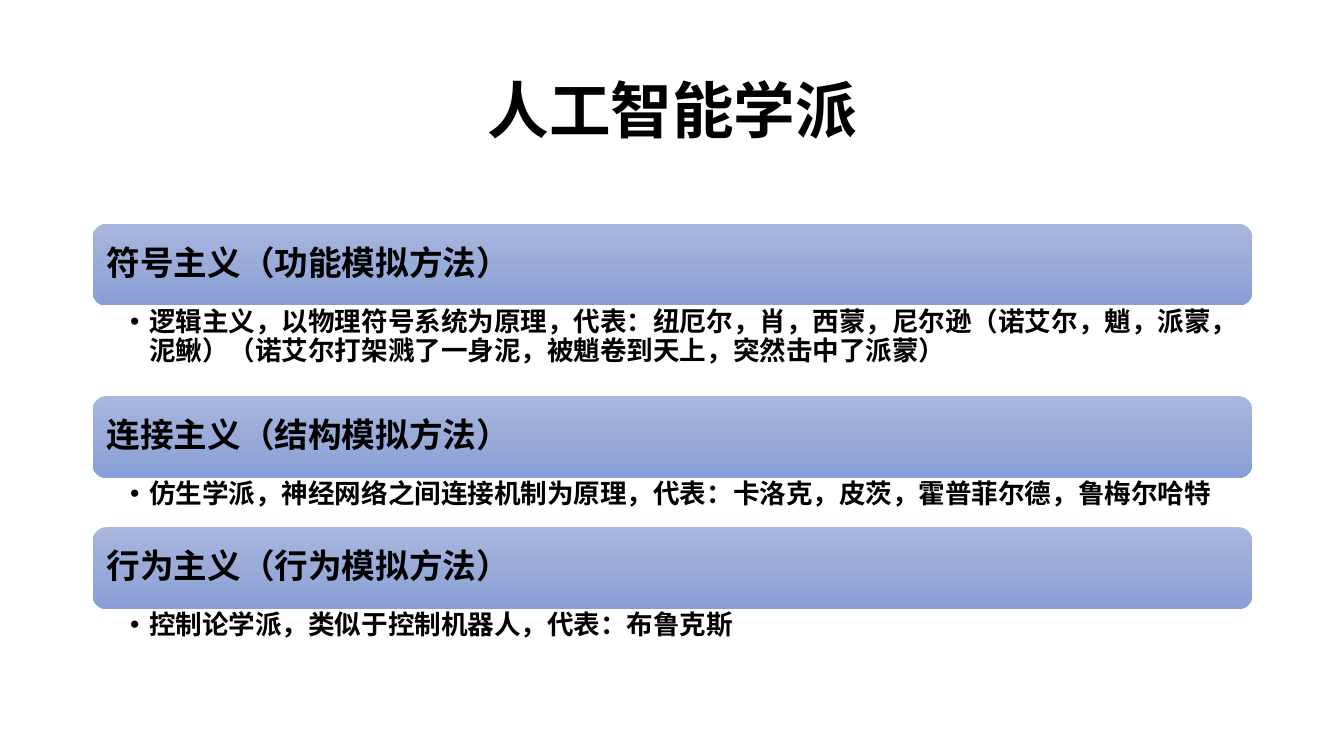
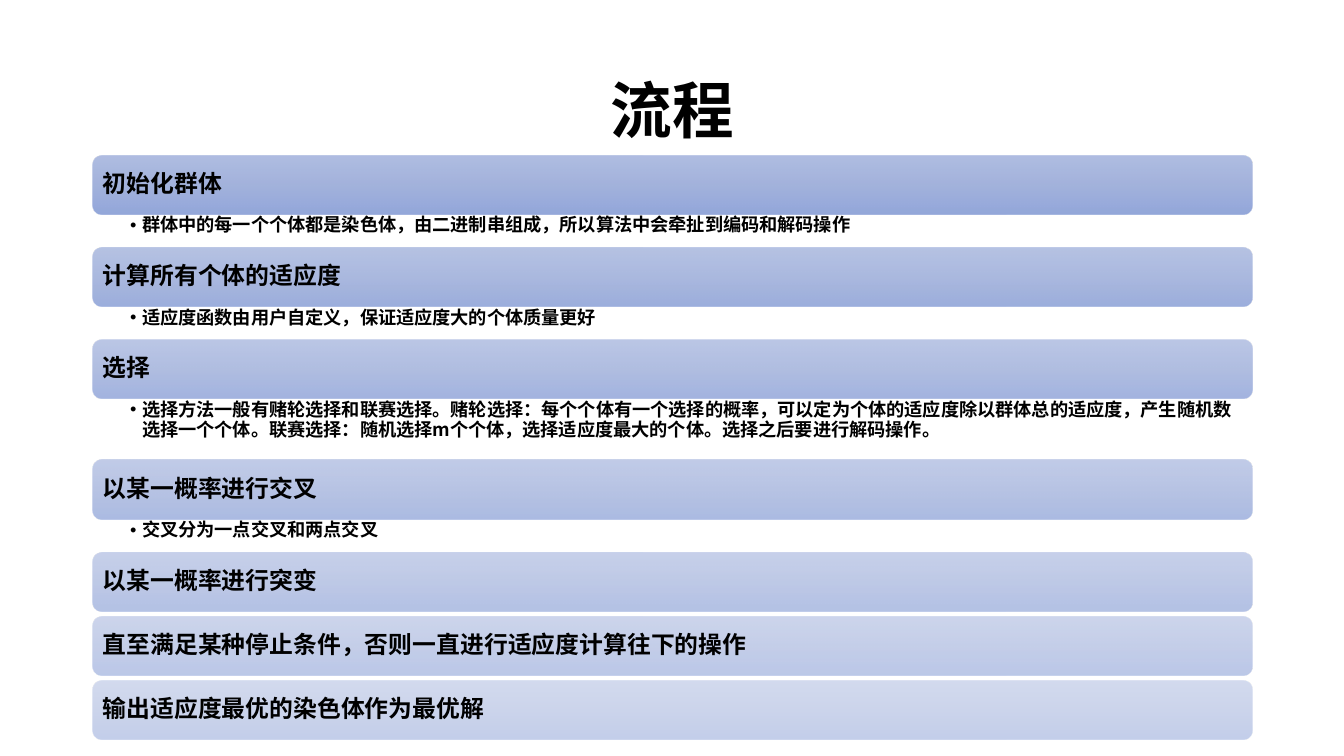
from lxml.etree import SubElement
from pptx import Presentation
from pptx.dml.color import RGBColor
from pptx.enum.lang import MSO_LANGUAGE_ID
from pptx.enum.shapes import MSO_SHAPE
from pptx.enum.text import MSO_ANCHOR, PP_ALIGN
from pptx.oxml.ns import qn
from pptx.util import Inches, Pt

# Content: bar heading, detail below it, height of the detail (or gap)
SCHOOLS = [
    ("符号主义（功能模拟方法）",
     "逻辑主义，以物理符号系统为原理，代表：纽厄尔，肖，西蒙，尼尔逊（诺艾尔，魈，派蒙，泥鳅）"
     "（诺艾尔打架溅了一身泥，被魈卷到天上，突然击中了派蒙）", 0.9),
    ("连接主义（结构模拟方法）",
     "仿生学派，神经网络之间连接机制为原理，代表：卡洛克，皮茨，霍普菲尔德，鲁梅尔哈特", 0.49),
    ("行为主义（行为模拟方法）", "控制论学派，类似于控制机器人，代表：布鲁克斯", 0.49),
]
STEPS = [
    ("初始化群体",
     "群体中的每一个个体都是染色体，由二进制串组成，所以算法中会牵扯到编码和解码操作", 0.33),
    ("计算所有个体的适应度", "适应度函数由用户自定义，保证适应度大的个体质量更好", 0.33),
    ("选择",
     "选择方法一般有赌轮选择和联赛选择。赌轮选择：每个个体有一个选择的概率，可以定为个体的适应度除以"
     "群体总的适应度，产生随机数选择一个个体。联赛选择：随机选择m个个体，选择适应度最大的个体。"
     "选择之后要进行解码操作。", 0.61),
    ("以某一概率进行交叉", "交叉分为一点交叉和两点交叉", 0.33),
    ("以某一概率进行突变", None, 0.05),
    ("直至满足某种停止条件，否则一直进行适应度计算往下的操作", None, 0.05),
    ("输出适应度最优的染色体作为最优解", None, 0.05),
]

# Lengths in inches, sizes in points, opacity in percent from first to last bar
SLIDES = [
    dict(title="人工智能学派", sections=SCHOOLS, top=2.22, bar=0.81, heading=24, detail=19,
         bar_inset=0.1, edge=0.03, right=0.19, indent=0.19, opacity=(100, 100)),
    dict(title="流程", sections=STEPS, top=1.54, bar=0.585, heading=17, detail=13,
         bar_inset=0.07, edge=0.02, right=0.13, indent=0.12, opacity=(90, 50)),
]

# Shared look
COLORS = {"text": "000000", "bar_top": "A8B7DF", "bar_middle": "9AABD9", "bar_bottom": "889ED7"}
FONT = "Noto Sans CJK SC"
LEFT, WIDTH = 0.92, 11.5
TITLE_TOP, TITLE_HEIGHT, TITLE_SIZE = 0.4, 1.45, 44
DETAIL_INSET = 0.37


def write_text(shape, text, size, insets, anchor, align=PP_ALIGN.LEFT, indent=None):
    frame = shape.text_frame
    frame.word_wrap = True
    frame.vertical_anchor = anchor
    (frame.margin_left, frame.margin_top,
     frame.margin_right, frame.margin_bottom) = map(Inches, insets)
    frame.text = text
    paragraph = frame.paragraphs[0]
    paragraph.alignment = align
    paragraph.line_spacing = 0.9
    if indent:
        properties = paragraph._p.get_or_add_pPr()
        properties.set("marL", str(Inches(indent)))
        properties.set("indent", str(-Inches(indent)))
        SubElement(properties, qn("a:buFont"), typeface="Arial")
        SubElement(properties, qn("a:buChar"), char="•")
    for run in paragraph.runs:
        run.font.size = Pt(size)
        run.font.bold = True
        run.font.color.rgb = RGBColor.from_string(COLORS["text"])
        run.font.language_id = MSO_LANGUAGE_ID.SIMPLIFIED_CHINESE
        run.font.name = FONT
        SubElement(run._r.get_or_add_rPr(), qn("a:ea"), typeface=FONT)


def fill_gradient(shape, opacity):
    shape.fill.gradient()
    shape.fill.gradient_angle = 270
    stops = shape._element.spPr.find(qn("a:gradFill")).find(qn("a:gsLst"))
    for stop in list(stops):
        stops.remove(stop)
    for position, name in enumerate(("bar_top", "bar_middle", "bar_bottom")):
        stop = SubElement(stops, qn("a:gs"), pos=str(position * 50000))
        color = SubElement(stop, qn("a:srgbClr"), val=COLORS[name])
        if opacity < 100:
            SubElement(color, qn("a:alpha"), val=str(round(opacity * 1000)))


def add_text(slide, top, height, *text_options, **more_options):
    box = slide.shapes.add_textbox(Inches(LEFT), Inches(top), Inches(WIDTH), Inches(height))
    write_text(box, *text_options, **more_options)


def add_bar(slide, top, style, heading, opacity):
    bar = slide.shapes.add_shape(MSO_SHAPE.ROUNDED_RECTANGLE, Inches(LEFT), Inches(top),
                                 Inches(WIDTH), Inches(style["bar"]))
    bar.shadow.inherit = False
    bar.line.fill.background()
    fill_gradient(bar, opacity)
    write_text(bar, heading, style["heading"], [style["bar_inset"]] * 4, MSO_ANCHOR.MIDDLE)


def build_slide(presentation, style):
    slide = presentation.slides.add_slide(presentation.slide_layouts[6])
    add_text(slide, TITLE_TOP, TITLE_HEIGHT, style["title"], TITLE_SIZE,
             (0.1, 0.05, 0.1, 0.05), MSO_ANCHOR.MIDDLE, align=PP_ALIGN.CENTER)
    # Stack the bars and their details downwards, fading by equal steps
    first, last = style["opacity"]
    fade = (first - last) / (len(style["sections"]) - 1)
    top = style["top"]
    for index, (heading, detail, height) in enumerate(style["sections"]):
        add_bar(slide, top, style, heading, first - index * fade)
        top += style["bar"]
        if detail:
            insets = (DETAIL_INSET, style["edge"], style["right"], style["edge"])
            add_text(slide, top, height, detail, style["detail"], insets,
                     MSO_ANCHOR.TOP, indent=style["indent"])
        top += height


def main():
    presentation = Presentation()
    presentation.slide_width, presentation.slide_height = Inches(13.33), Inches(7.5)
    for style in SLIDES:
        build_slide(presentation, style)
    presentation.save("out.pptx")


if __name__ == "__main__":
    main()
